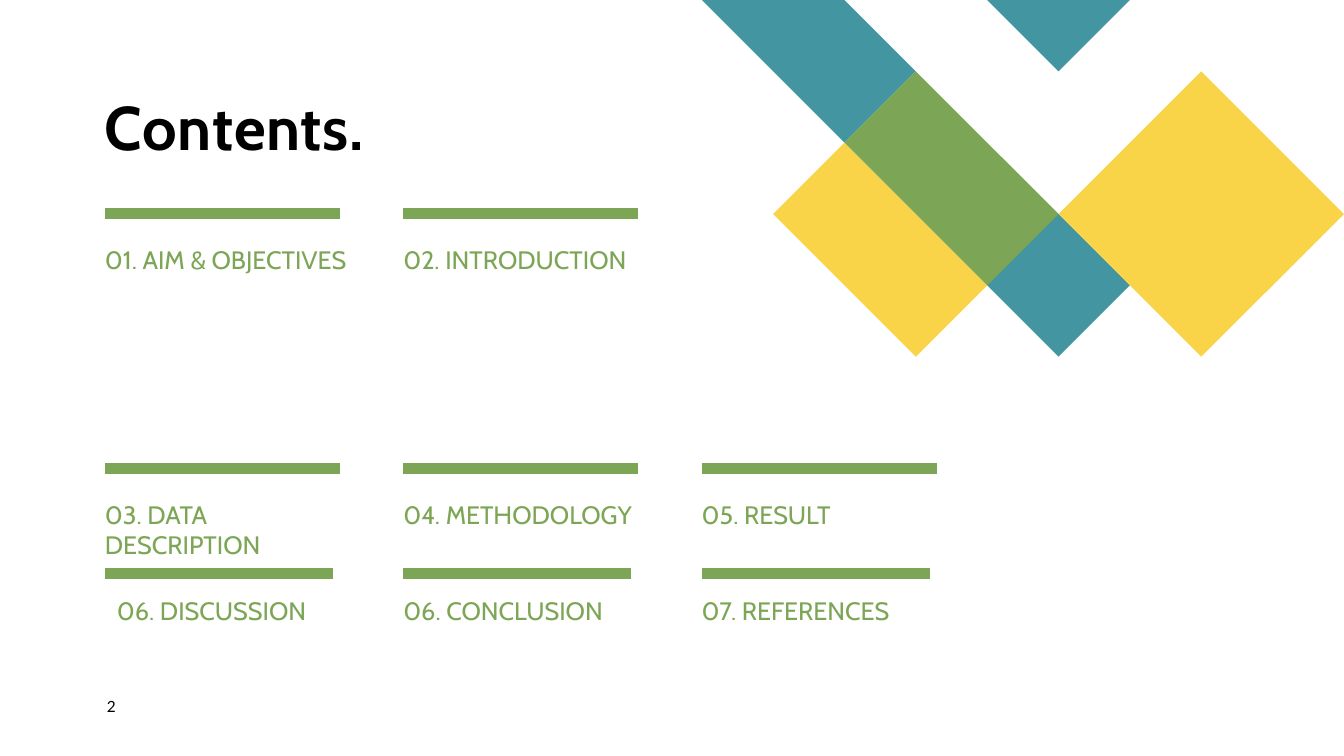
from lxml.etree import SubElement
from pptx import Presentation
from pptx.dml.color import RGBColor
from pptx.enum.shapes import MSO_CONNECTOR
from pptx.enum.text import MSO_ANCHOR, MSO_AUTO_SIZE, PP_ALIGN
from pptx.oxml.ns import qn
from pptx.util import Inches, Pt

TEAL = RGBColor(0x44, 0x95, 0xA2)
GOLD = RGBColor(0xF9, 0xD4, 0x48)
GREEN = RGBColor(0x7C, 0xA6, 0x55)
BLACK = RGBColor(0, 0, 0)

WIDE, HIGH = 13.33, 7.5
LEFT, STEP = 1.04, 2.96

# Corners in (column, row) units of the motif's nine-column grid
TILES = [
    (TEAL, [(0, 0), (2, 0), (3, 1), (2, 2)]),
    (TEAL, [(5, 3), (6, 4), (5, 5), (4, 4)]),
    (GOLD, [(2, 2), (4, 4), (3, 5), (1, 3)]),
    (TEAL, [(4, 0), (6, 0), (5, 1)]),
    (GREEN, [(3, 1), (5, 3), (4, 4), (2, 2)]),
    (GOLD, [(7, 1), (9, 3), (7, 5), (5, 3)]),
]

# Rule height, rule length, drop to the text, then (label, indent) pairs
ROWS = [
    (2.12, 2.33, 0.3, [("01. AIM & OBJECTIVES", 0), ("02. INTRODUCTION", 0)]),
    (4.65, 2.33, 0.3, [("03. DATA DESCRIPTION", 0), ("04. METHODOLOGY", 0),
                       ("05. RESULT", 0)]),
    (5.69, 2.26, 0.22, [("06. DISCUSSION", 0.12), ("06. CONCLUSION", 0),
                        ("07. REFERENCES", 0)]),
]


def draw_motif(slide, left, top, width):
    unit = Inches(width) / 9
    for color, (first, *rest) in TILES:
        pen = slide.shapes.build_freeform(*first, scale=unit)
        pen.add_line_segments(rest, close=True)
        tile = pen.convert_to_shape(Inches(left), Inches(top))
        tile.shadow.inherit = False
        tile.fill.solid()
        tile.fill.fore_color.rgb = color
        tile.line.fill.background()


def draw_rule(slide, left, top, width):
    x, y = Inches(left), Inches(top)
    rule = slide.shapes.add_connector(
        MSO_CONNECTOR.STRAIGHT, x, y, x + Inches(width), y)
    rule.line.color.rgb = GREEN
    rule.line.width = Pt(8)
    SubElement(rule._element.spPr, qn("a:effectLst"))


def write(slide, text, box, size, color, font="Cabin", bold=False,
          holder=None, anchor=MSO_ANCHOR.TOP):
    """Fill the holder, or a new text box, with one unbulleted paragraph."""
    box = [Inches(v) for v in box]
    shape = holder or slide.shapes.add_textbox(*box)
    shape.left, shape.top, shape.width, shape.height = box
    frame = shape.text_frame
    frame.text = text
    frame.word_wrap = True
    frame.auto_size = MSO_AUTO_SIZE.NONE
    frame.vertical_anchor = anchor
    frame.margin_left = frame.margin_right = 0
    frame.margin_top = frame.margin_bottom = 0
    para = frame.paragraphs[0]
    para.alignment = PP_ALIGN.LEFT
    para.space_before = Pt(0)
    props = para._p.get_or_add_pPr()
    props.set("marL", "0")
    props.set("indent", "0")
    SubElement(props, qn("a:buNone"))
    para.font.name = font
    para.font.size = Pt(size)
    para.font.bold = bold
    para.font.color.rgb = color
    return para


def write_title(slide, box):
    para = write(slide, "Contents.", box, 44, BLACK, bold=True,
                 holder=slide.shapes.title, anchor=MSO_ANCHOR.BOTTOM)
    para.line_spacing = 0.9
    para.runs[0].font._element.set("spc", "50")


def write_list(slide, left, step):
    """Place the entries on a column grid, using up the body placeholders."""
    holders = iter([p for p in slide.placeholders
                    if p.placeholder_format.idx > 0])
    for top, length, drop, items in ROWS:
        for col, (label, indent) in enumerate(items):
            x = left + col * step
            draw_rule(slide, x, top, length)
            write(slide, label, (x + indent, top + drop, 2.5, 0.48), 18,
                  GREEN, holder=next(holders, None))


def main():
    deck = Presentation()
    deck.slide_width, deck.slide_height = Inches(WIDE), Inches(HIGH)
    slide = deck.slides.add_slide(deck.slide_layouts.get_by_name("Comparison"))
    draw_motif(slide, 6.96, 0, WIDE - 6.96)
    write_title(slide, (LEFT, 0.96, 5.4, 0.67))
    write_list(slide, LEFT, STEP)
    write(slide, "2", (LEFT + 0.02, 6.92, 0.57, 0.27), 11, BLACK, font="Lato")
    deck.save("out.pptx")


if __name__ == "__main__":
    main()
